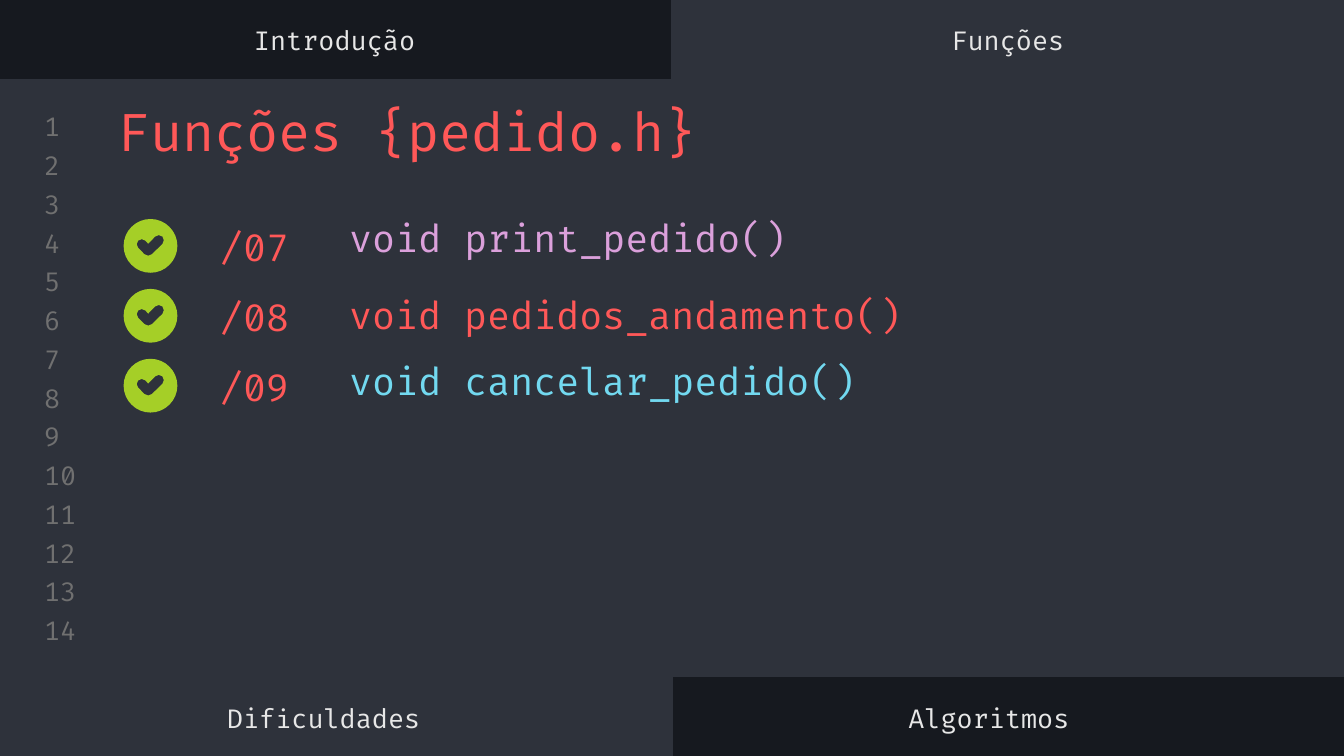
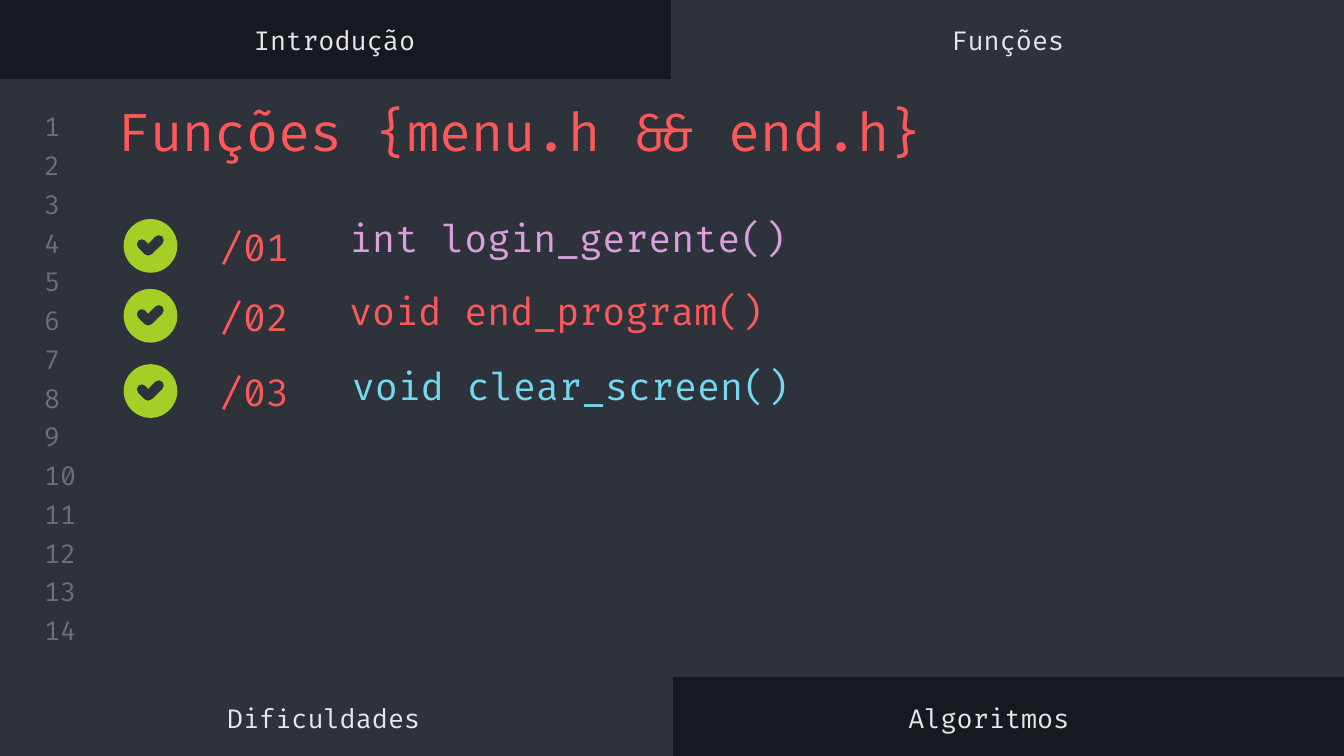
"""Build two slides listing C functions in a code-editor style."""
from lxml import etree
from pptx import Presentation
from pptx import util as u
from pptx.dml.color import RGBColor
from pptx.enum import shapes, text
from pptx.oxml import ns

FONT = "Fira Code"
NIGHT = RGBColor(0x16, 0x19, 0x1F)
SLATE = RGBColor(0x2E, 0x32, 0x3B)
GRAY = RGBColor(0x70, 0x70, 0x70)
PALE = RGBColor(0xE7, 0xE7, 0xE7)
RED = RGBColor(0xFF, 0x58, 0x58)
PINK = RGBColor(0xDB, 0xA0, 0xDB)
CYAN = RGBColor(0x72, 0xD9, 0xF0)
GREEN = RGBColor(0xA5, 0xCF, 0x27)

# Each function: number, its top, badge top, signature, signature box, colour
PEDIDO = [
    ("/07", 1.57, 1.63, "void print_pedido()", (2.5, 1.42, 4.68, 0.7), PINK),
    ("/08", 2.09, 2.15, "void pedidos_andamento()", (2.5, 2.14, 4.83, 0.4), RED),
    ("/09", 2.61, 2.67, "void cancelar_pedido()", (2.5, 2.57, 4.41, 0.53), CYAN),
]
MENU_END = [
    ("/01", 1.57, 1.63, "int login_gerente()", (2.5, 1.42, 4.68, 0.7), PINK),
    ("/02", 2.09, 2.15, "void end_program()", (2.5, 2.09, 4.15, 0.44), RED),
    ("/03", 2.65, 2.71, "void clear_screen()", (2.52, 2.65, 4.15, 0.44), CYAN),
]

# Badge outlines in thousandths of an inch: a start, then lines (one point)
# and curves (two control points and an end)
TICK = [
    (262, 120),
    (272, 120, 281, 124, 289, 131), (303, 146, 303, 171, 289, 186),
    (211, 262), (203, 270, 194, 273, 184, 273),
    (183, 273), (183, 273, 182, 273, 182, 273), (172, 273, 162, 269, 155, 262),
    (108, 214), (94, 199, 94, 176, 109, 161),
    (116, 154, 126, 150, 135, 150), (145, 150, 155, 154, 162, 161),
    (183, 184), (235, 131), (243, 124, 252, 120, 262, 120),
]
DISC = [
    (200, 0),
    (147, 0, 96, 21, 59, 59), (21, 96, 0, 147, 0, 200),
    (0, 253, 21, 304, 59, 341), (96, 379, 147, 400, 200, 400),
    (253, 400, 304, 379, 341, 341), (379, 304, 400, 253, 400, 200),
    (400, 147, 379, 96, 341, 59), (304, 21, 253, 0, 200, 0),
]


def add_panel(slide, box):
    """Draw a slate rectangle of the editor window."""
    panel = slide.shapes.add_shape(shapes.MSO_SHAPE.RECTANGLE, *map(u.Inches, box))
    panel.shadow.inherit = False
    panel.fill.solid()
    panel.fill.fore_color.rgb = SLATE
    panel.line.color.rgb = SLATE
    panel.line.width = u.Pt(0.75)


def add_label(owner, box, wording, size, color, middle=True, centered=False):
    """Write one line of code-style text on a slide or in a group."""
    label = owner.shapes.add_textbox(*map(u.Inches, box))
    frame = label.text_frame
    frame.word_wrap = True
    frame.margin_left = frame.margin_right = u.Inches(0.1)
    frame.margin_top = frame.margin_bottom = u.Inches(0.1)
    frame.vertical_anchor = text.MSO_ANCHOR.MIDDLE if middle else text.MSO_ANCHOR.TOP
    paragraph = frame.paragraphs[0]
    paragraph.text = wording
    paragraph.alignment = text.PP_ALIGN.CENTER if centered else text.PP_ALIGN.LEFT
    paragraph.font.name = FONT
    paragraph.font.size = u.Pt(size)
    paragraph.font.color.rgb = color


def add_contour(outline, steps):
    """Append one closed contour of lines and curves to an outline."""
    for index, step in enumerate(steps):
        kind = "cubicBezTo" if len(step) == 6 else "lnTo" if index else "moveTo"
        segment = etree.SubElement(outline, ns.qn("a:" + kind))
        for x, y in zip(step[::2], step[1::2]):
            etree.SubElement(segment, ns.qn("a:pt"), x=str(x), y=str(y))
    etree.SubElement(outline, ns.qn("a:close"))


def add_check_badge(slide, top):
    """Draw a green disc with a rounded tick cut out of it."""
    left, size = 0.92, 0.4
    builder = slide.shapes.build_freeform(0, 0, scale=u.Inches(size))
    builder.add_line_segments([(1, 0), (1, 1), (0, 1)])
    badge = builder.convert_to_shape(u.Inches(left), u.Inches(top))
    outline = badge._element.find(".//" + ns.qn("a:path"))
    for segment in list(outline):
        outline.remove(segment)
    outline.set("w", "400")
    outline.set("h", "400")
    add_contour(outline, TICK)
    add_contour(outline, DISC)
    badge.shadow.inherit = False
    badge.fill.solid()
    badge.fill.fore_color.rgb = GREEN
    badge.line.fill.background()


def set_editor_layout(deck):
    """Give the blank layout the background, panels and line numbers."""
    layout = deck.slide_layouts[6]
    for placeholder in list(layout.placeholders):
        layout.shapes.remove(placeholder) if hasattr(layout.shapes, "remove") else \
            layout.shapes._spTree.remove(placeholder._element)
    layout.background.fill.solid()
    layout.background.fill.fore_color.rgb = NIGHT
    return layout


def draw_editor(slide, layout):
    """Draw panels and line numbers, then hand them to the layout."""
    for box in ((5, 0, 5, 0.65), (0, 4.98, 5, 0.65), (0, 0.59, 10, 4.44)):
        add_panel(slide, box)
    line_numbers = slide.shapes.add_group_shape()
    for row in range(14):
        box = (0.23, 0.82 + row * 3.75 / 13, 0.47, 0.24)
        add_label(line_numbers, box, str(row + 1), 14, GRAY)
    for part in list(slide.shapes):
        layout.shapes._spTree.append(part._element)


def add_function_slide(slide, title, functions):
    """Fill a slide with a title, tabs and its checked functions."""
    add_label(slide, (0.78, 0.64, 8.44, 0.63), title, 28, RED, middle=False)
    add_label(slide, (1.59, 5.15, 5.32, 0.39), "Dificuldades", 14, PALE)
    add_label(slide, (-0.01, 0.1, 5, 0.39), "Introdução", 14, PALE, centered=True)
    add_label(slide, (5, 0.1, 5, 0.39), "Funções", 14, PALE, centered=True)
    for number, number_top, badge_top, signature, box, color in functions:
        add_label(slide, box, signature, 20, color)
        add_label(slide, (1.54, number_top, 0.97, 0.52), number, 20, RED, middle=False)
        add_check_badge(slide, badge_top)
    add_label(slide, (6.66, 5.15, 5.32, 0.39), "Algoritmos", 14, PALE)


def main():
    """Build and save the deck."""
    deck = Presentation()
    deck.slide_width, deck.slide_height = u.Inches(10), u.Inches(5.625)
    layout = set_editor_layout(deck)
    pedido_slide = deck.slides.add_slide(layout)
    draw_editor(pedido_slide, layout)
    add_function_slide(pedido_slide, "Funções\u00a0{pedido.h}", PEDIDO)
    menu_slide = deck.slides.add_slide(layout)
    add_function_slide(menu_slide, "Funções\u00a0{menu.h\u00a0&& end.h}", MENU_END)
    deck.save("out.pptx")


main()
